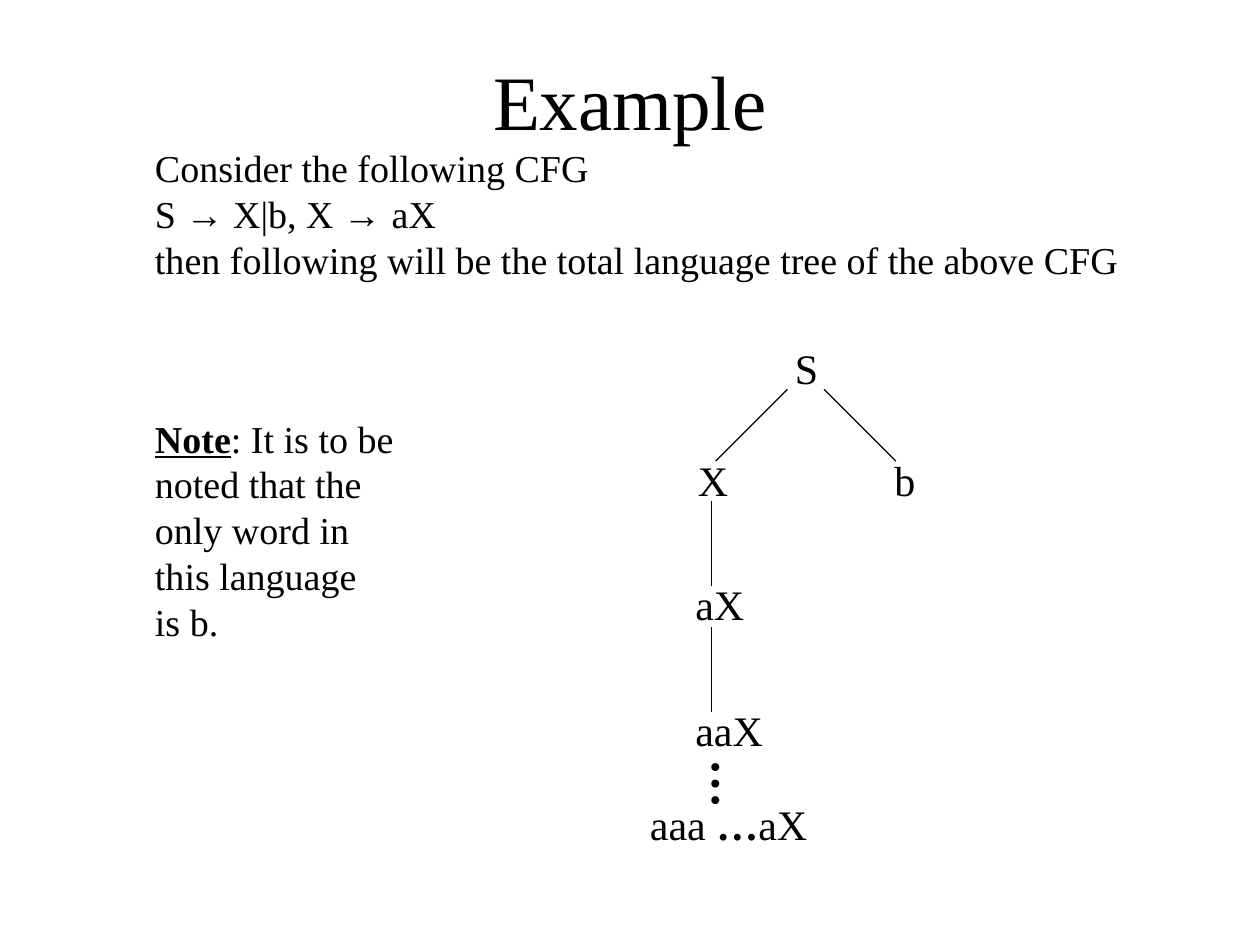
import pptx
import pptx.util
import pptx.dml.color
import pptx.enum.text
import pptx.enum.shapes
import pptx.oxml
from dataclasses import dataclass
from pptx.util import Inches

Anchor = pptx.enum.text.MSO_ANCHOR
Align = pptx.enum.text.PP_ALIGN
Fit = pptx.enum.text.MSO_AUTO_SIZE


@dataclass(frozen=True)
class Theme:
    ink: str = "000000"
    paper: str = "FFFFFF"
    serif: str = "Times New Roman"
    sans: str = "Arial"
    title: float = 44
    body: float = 21.7
    node: float = 24
    dots: float = 28
    line: float = 0.75


THEME = Theme()


def color(code):
    return pptx.dml.color.RGBColor.from_string(code)


def add_run(para, text, size, face=THEME.serif, bold=False, under=False):
    run = para.add_run()
    run.text = text
    font = run.font
    font.size = pptx.util.Pt(size)
    font.name = face
    font.bold = bold
    font.underline = under
    font.color.rgb = color(THEME.ink)


def place(shape, box):
    shape.left, shape.top, shape.width, shape.height = map(Inches, box)


def add_title(slide, box):
    title = slide.shapes.title
    place(title, box)
    frame = title.text_frame
    frame.auto_size = Fit.NONE
    frame.vertical_anchor = Anchor.MIDDLE
    para = frame.paragraphs[0]
    para.alignment = Align.CENTER
    add_run(para, "Example", THEME.title)


def add_body(slide, box):
    """Place the grammar lines and, after a wide gap, the note."""
    gap, wide = 5.4, 81
    arrow = {"face": THEME.sans}
    rows = [
        (0, [("Consider the following CFG", {})]),
        (gap, [("S ", {}), ("→", arrow), (" X|b, X ", {}),
               ("→ ", arrow), ("aX", {})]),
        (gap, [("then following will be the total language tree "
                "of the above CFG", {})]),
        (wide, [("Note", {"bold": True, "under": True}),
                (": It is to be", {})]),
    ]
    rows += [(gap, [(text, {})]) for text in
             ("noted that the", "only word in", "this language", "is b.")]

    body = slide.placeholders[1]
    place(body, box)
    frame = body.text_frame
    frame.auto_size = Fit.NONE
    frame.vertical_anchor = Anchor.TOP
    for i, (space, runs) in enumerate(rows):
        para = frame.add_paragraph() if i else frame.paragraphs[0]
        props = para._p.get_or_add_pPr()
        props.set("marL", str(Inches(0.38)))
        props.set("indent", "0")
        pptx.oxml.xmlchemy.OxmlElement
        props.append(pptx.oxml.parse_xml(
            '<a:buNone xmlns:a="http://schemas.openxmlformats.org/'
            'drawingml/2006/main"/>'))
        para.alignment = Align.LEFT
        para.line_spacing = 0.8
        para.space_before = pptx.util.Pt(space)
        for text, style in runs:
            add_run(para, text, THEME.body, **style)


def add_label(slide, box, runs, size=THEME.node, turn=0):
    label = slide.shapes.add_textbox(*map(Inches, box))
    label.rotation = turn
    frame = label.text_frame
    frame.word_wrap = True
    for text, bold in runs:
        add_run(frame.paragraphs[0], text, size, bold=bold)


def add_branch(slide, ends):
    line = slide.shapes.add_connector(
        pptx.enum.shapes.MSO_CONNECTOR.STRAIGHT, *map(Inches, ends))
    line.line.color.rgb = color(THEME.ink)
    line.line.width = pptx.util.Pt(THEME.line)
    line._element.spPr.append(pptx.oxml.parse_xml(
        '<a:effectLst xmlns:a="http://schemas.openxmlformats.org/'
        'drawingml/2006/main"/>'))


def add_tree(slide, box):
    left, top, width, _ = box
    branches = [
        (1.19, 0.42, 0.62, 0.99),
        (1.48, 0.42, 2.05, 0.99),
        (0.59, 1.31, 0.59, 1.98),
        (0.59, 2.31, 0.59, 2.98),
    ]
    nodes = [
        ("S", 1.15, 0),
        ("X", 0.38, 0.89),
        ("b", 1.94, 0.89),
        ("aX", 0.36, 1.87),
        ("aaX", 0.36, 2.87),
    ]
    for x1, y1, x2, y2 in branches:
        add_branch(slide, (left + x1, top + y1, left + x2, top + y2))
    for text, x, y in nodes:
        add_label(slide, (left + x, top + y, 1, 0.5), [(text, False)])
    add_label(slide, (left + 0.43, top + 3.29, 0.63, 0.57),
              [("…", True)], THEME.dots, turn=90)
    add_label(slide, (left, top + 3.62, width, 0.5),
              [("aaa ", False), ("…", True), ("aX", False)])


def main():
    deck = pptx.Presentation()
    deck.slide_width, deck.slide_height = Inches(10), Inches(7.5)
    slide = deck.slides.add_slide(deck.slide_layouts[1])
    fill = slide.background.fill
    fill.solid()
    fill.fore_color.rgb = color(THEME.paper)
    add_title(slide, (0.75, 0.17, 8.5, 1.25))
    add_body(slide, (0.75, 1.17, 8.5, 4.5))
    add_tree(slide, (5.06, 2.67, 3.08, 4.12))
    deck.save("out.pptx")


if __name__ == "__main__":
    main()
